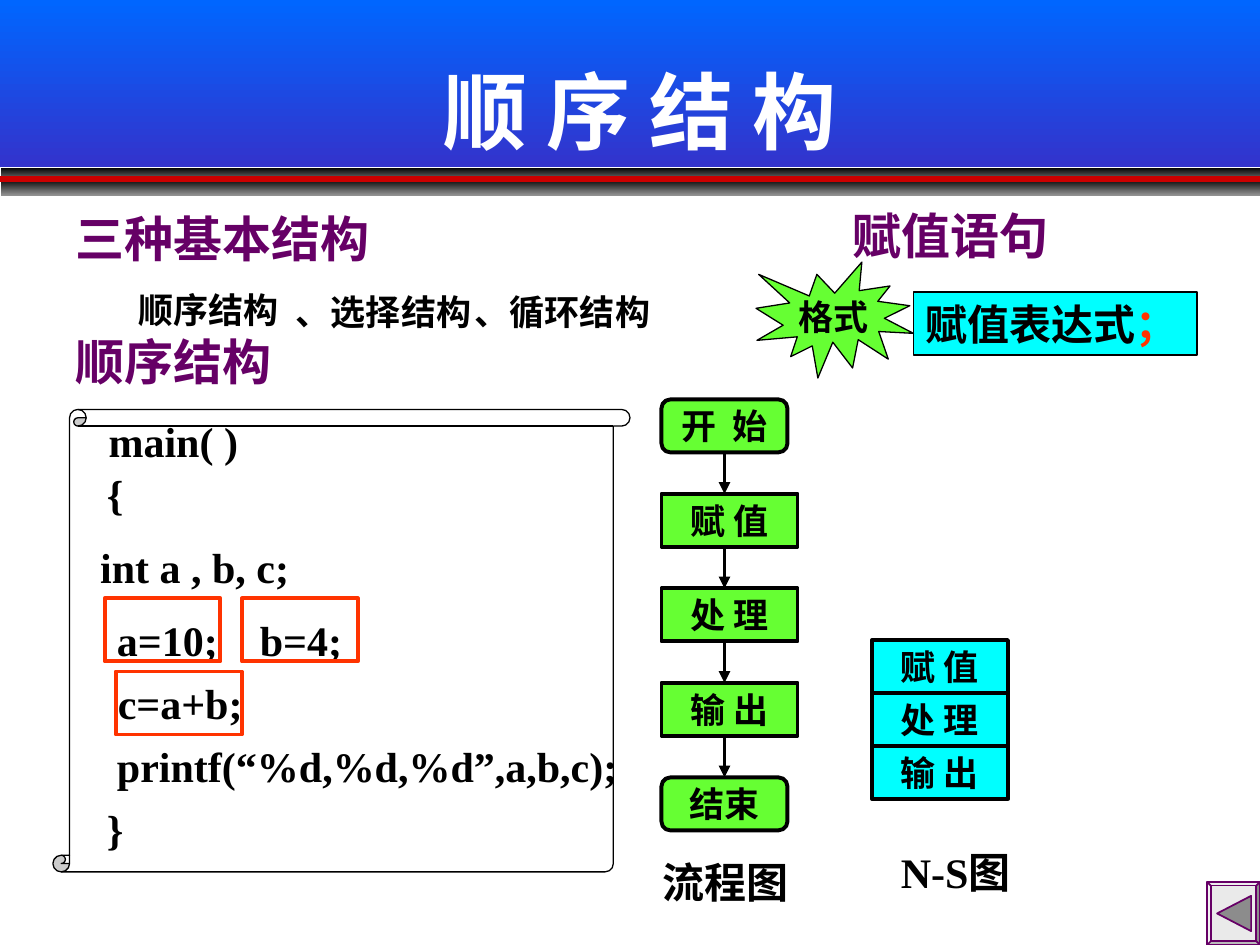
from dataclasses import dataclass
from typing import Optional

from pptx import Presentation
from pptx.dml.color import RGBColor
from pptx.enum.shapes import MSO_CONNECTOR, MSO_SHAPE as Preset
from pptx.enum.text import MSO_ANCHOR as Anchor, PP_ALIGN as Align
from pptx.oxml.ns import qn
from pptx.util import Inches, Pt

LATIN, EAST_ASIAN = "Times New Roman", "Noto Sans CJK SC"
BLACK, WHITE, PURPLE, RED = "000000", "FFFFFF", "660066", "FF3300"
GREEN, CYAN = "66FF33", "00FFFF"
STEP_WIDTH, STEP_HEIGHT, STEP_PITCH = 1.08, 0.42, 0.75
FLOW_LEFT, FLOW_TOP, FLOW_AXIS = 5.25, 3.17, 5.75


@dataclass
class Label:
    text: str
    left: float
    top: float
    width: float
    height: float
    size: float = 24
    color: str = BLACK
    font: str = LATIN
    anchor: Anchor = Anchor.TOP
    align: Align = Align.LEFT
    wrap: bool = True


@dataclass
class Box:
    left: float
    top: float
    width: float
    height: float
    fill: Optional[str] = None
    line: Optional[str] = BLACK
    weight: float = 2.25
    preset: Preset = Preset.RECTANGLE
    adjustment: Optional[float] = None
    text: str = ""


def rgb(value: str) -> RGBColor:
    return RGBColor.from_string(value)


def style_run(run, size: float, color: str, font: str) -> None:
    run.font.size, run.font.bold, run.font.name = Pt(size), True, font
    run.font.color.rgb = rgb(color)
    east_asian = run.font._element.makeelement(qn("a:ea"), {"typeface": EAST_ASIAN})
    run.font._element.find(qn("a:latin")).addnext(east_asian)


def draw_label(slide, label: Label):
    shape = slide.shapes.add_textbox(Inches(label.left), Inches(label.top),
                                     Inches(label.width), Inches(label.height))
    frame = shape.text_frame
    frame.text = label.text
    frame.word_wrap = label.wrap
    frame.vertical_anchor = label.anchor
    paragraph = frame.paragraphs[0]
    paragraph.alignment = label.align
    style_run(paragraph.runs[0], label.size, label.color, label.font)
    return shape


def draw_box(slide, box: Box):
    shape = slide.shapes.add_shape(box.preset, Inches(box.left), Inches(box.top),
                                   Inches(box.width), Inches(box.height))
    shape.shadow.inherit = False
    if box.adjustment is not None:
        shape.adjustments[0] = box.adjustment
    if box.fill:
        shape.fill.solid()
        shape.fill.fore_color.rgb = rgb(box.fill)
    else:
        shape.fill.background()
    if box.line:
        shape.line.color.rgb = rgb(box.line)
        shape.line.width = Pt(box.weight)
    else:
        shape.line.fill.background()
    if box.text:
        frame = shape.text_frame
        frame.text = box.text
        frame.word_wrap = False
        frame.vertical_anchor = Anchor.MIDDLE
        frame.paragraphs[0].alignment = Align.CENTER
        style_run(frame.paragraphs[0].runs[0], 20, BLACK, LATIN)
    return shape


def draw_band(slide, left: float, top: float, height: float, start: str, end: str) -> None:
    shape = draw_box(slide, Box(left, top, 10 - left, height, line=None))
    shape.fill.gradient()
    shape.fill.gradient_angle = 270
    for stop, color in zip(shape.fill.gradient_stops, (start, end)):
        stop.color.rgb = rgb(color)


def draw_line(slide, start: tuple, end: tuple, color: str, weight: float, arrow: bool = False):
    line = slide.shapes.add_connector(MSO_CONNECTOR.STRAIGHT, *map(Inches, start + end))
    line.line.color.rgb = rgb(color)
    line.line.width = Pt(weight)
    properties = line._element.spPr
    if arrow:
        outline = properties.find(qn("a:ln"))
        outline.append(outline.makeelement(qn("a:tailEnd"), {"type": "triangle"}))
    properties.append(properties.makeelement(qn("a:effectLst"), {}))
    return line


def draw_header(slide) -> None:
    draw_band(slide, 0, 0, 1.33, "0066FF", "3333CC")
    draw_band(slide, 0.01, 1.33, 0.12, "000000", "919191")
    draw_band(slide, 0.01, 1.42, 0.13, "000000", "919191")
    draw_line(slide, (0, 1.42), (10, 1.42), "CC0000", 3)
    draw_label(slide, Label("顺 序 结 构", 0.83, 0.25, 8.5, 1.25, 48, WHITE, "Arial",
                            Anchor.MIDDLE, Align.CENTER))


def draw_headings(slide) -> None:
    for text, left, top in (("三种基本结构", 0.5, 1.6), ("顺序结构", 0.5, 2.58),
                            ("赋值语句", 6.67, 1.58)):
        draw_label(slide, Label(text, left, top, 3.58, 0.57, 28, PURPLE, anchor=Anchor.BOTTOM))
    for text, left, top in (("顺序结构", 1, 2.23), ("、选择结构", 2.25, 2.25),
                            ("、循环结构", 3.67, 2.25)):
        draw_label(slide, Label(text, left, top, 1.75, 0.44, 20, anchor=Anchor.BOTTOM))


def draw_code(slide) -> None:
    draw_box(slide, Box(0.42, 3.25, 4.58, 3.67, WHITE, weight=0.75,
                        preset=Preset.VERTICAL_SCROLL, adjustment=0.036))
    for text, left, top, width, align in (
        ("main( )", 0.5, 3.25, 1.75, Align.CENTER),
        ("{", 0.75, 3.67, 1.75, Align.LEFT),
        ("int a , b, c;", 0.67, 4.25, 1.75, Align.CENTER),
        ("a=10;    b=4;", 0.83, 4.83, 2.58, Align.LEFT),
        ("  c=a+b;", 0.67, 5.33, 1.75, Align.LEFT),
        ("printf(“%d,%d,%d”,a,b,c);", 0.83, 5.83, 4.42, Align.LEFT),
        ("}", 0.75, 6.33, 1.75, Align.LEFT),
    ):
        draw_label(slide, Label(text, left, top, width, 0.5, align=align))
    for left, top, width in ((0.83, 4.75, 0.92), (1.92, 4.75, 0.92), (0.92, 5.33, 1)):
        draw_box(slide, Box(left, top, width, 0.5, line=RED))


def draw_diagrams(slide) -> None:
    steps = ("赋 值", "处 理", "输 出")
    flow = []
    for index, text in enumerate(("开  始", *steps, "结束")):
        box = Box(FLOW_LEFT, FLOW_TOP + index * STEP_PITCH, STEP_WIDTH, STEP_HEIGHT,
                  GREEN, text=text)
        if text not in steps:
            box.width, box.preset, box.adjustment = 1, Preset.ROUNDED_RECTANGLE, 0.167
        flow.append(draw_box(slide, box))
    arrows = []
    for index in range(len(flow) - 1):
        top = FLOW_TOP + index * STEP_PITCH
        arrows.append(draw_line(slide, (FLOW_AXIS, top + STEP_HEIGHT),
                                (FLOW_AXIS, top + STEP_PITCH), BLACK, 2.25, arrow=True))
    arrows[0].begin_connect(flow[0], 2)
    arrows[-1].end_connect(flow[-1], 0)
    for index, text in enumerate(steps):
        draw_box(slide, Box(6.92, 5.08 + index * STEP_HEIGHT, STEP_WIDTH, STEP_HEIGHT,
                            CYAN, text=text))
    for text, left, top in (("流程图", 4.92, 6.75), ("N-S图", 6.75, 6.67)):
        draw_label(slide, Label(text, left, top, 1.67, 0.5, anchor=Anchor.MIDDLE,
                                align=Align.CENTER, wrap=False))


def draw_assignment(slide) -> None:
    shape = draw_label(slide, Label("赋值表达式", 7.25, 2.32, 2.25, 0.5, font=EAST_ASIAN))
    shape.fill.solid()
    shape.fill.fore_color.rgb = rgb(CYAN)
    shape.line.color.rgb = rgb(BLACK)
    shape.line.width = Pt(1)
    semicolon = shape.text_frame.paragraphs[0].add_run()
    semicolon.text = "；"
    style_run(semicolon, 24, RED, EAST_ASIAN)
    draw_box(slide, Box(6, 2.08, 1.25, 0.92, GREEN, weight=0.75,
                        preset=Preset.EXPLOSION1, text="格式"))


def draw_back_button(slide) -> None:
    draw_box(slide, Box(9.58, 7, 0.42, 0.5, "EAEAEA", PURPLE, 1, Preset.BEVEL, 0.07))
    builder = slide.shapes.build_freeform(Inches(9.66), Inches(7.25))
    builder.add_line_segments([(Inches(9.93), Inches(7.11)), (Inches(9.93), Inches(7.39))])
    triangle = builder.convert_to_shape()
    triangle.shadow.inherit = False
    triangle.fill.solid()
    triangle.fill.fore_color.rgb = rgb("8C8C8C")
    triangle.line.color.rgb = rgb(PURPLE)
    triangle.line.width = Pt(1)


def main() -> None:
    """Build the lesson slide on sequential structure."""
    presentation = Presentation()
    presentation.slide_width, presentation.slide_height = Inches(10), Inches(7.5)
    slide = presentation.slides.add_slide(presentation.slide_layouts[6])
    for draw in (draw_header, draw_headings, draw_code, draw_diagrams,
                 draw_assignment, draw_back_button):
        draw(slide)
    presentation.save("out.pptx")


if __name__ == "__main__":
    main()
